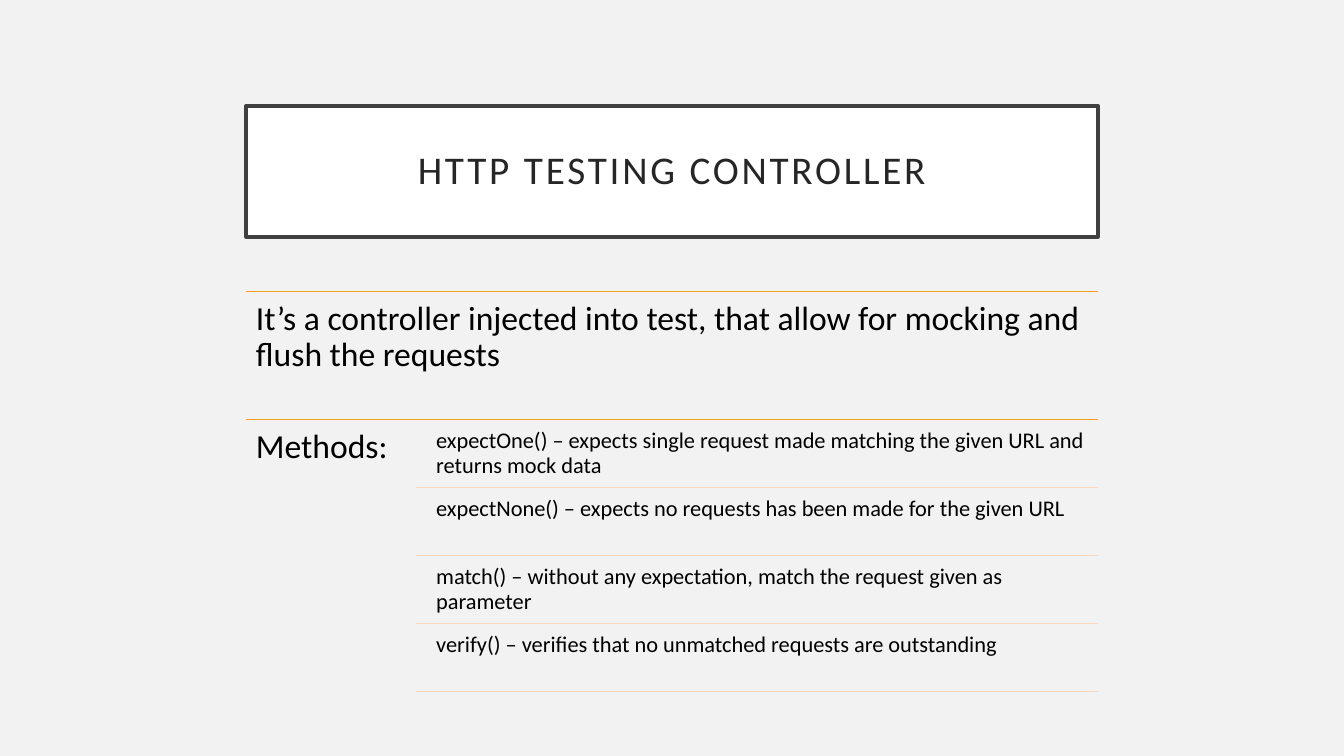
from lxml import etree
from pptx import Presentation
from pptx.dml.color import RGBColor
from pptx.enum.shapes import MSO_CONNECTOR
from pptx.enum.text import MSO_ANCHOR, MSO_AUTO_SIZE, PP_ALIGN
from pptx.oxml.ns import qn
from pptx.util import Inches, Pt

STRAIGHT = MSO_CONNECTOR.STRAIGHT
TOP, MIDDLE = MSO_ANCHOR.TOP, MSO_ANCHOR.MIDDLE
LEFT, CENTER = PP_ALIGN.LEFT, PP_ALIGN.CENTER
NO_FIT = MSO_AUTO_SIZE.NONE

FONT = "Calibri"
SLIDE_W, SLIDE_H = 13.33, 7.5
MARGIN = 2.44
CONTENT_W = SLIDE_W - 2 * MARGIN
ORANGE, PEACH = "F6A21D", "FBD7BD"

INTRO = ("It’s a controller injected into test, that allow for mocking and "
         "flush the requests")
METHODS = [
    "expectOne() – expects single request made matching the given URL and "
    "returns mock data",
    "expectNone() – expects no requests has been made for the given URL",
    "match() – without any expectation, match the request given as parameter",
    "verify() – verifies that no unmatched requests are outstanding",
]


def rgb(value):
    return RGBColor.from_string(value)


def write(tf, text, size, color="000000", inset=0.1, align=LEFT, anchor=TOP):
    tf.word_wrap = True
    tf.auto_size = NO_FIT
    tf.vertical_anchor = anchor
    tf.margin_left = tf.margin_right = Inches(inset)
    tf.margin_top = tf.margin_bottom = Inches(inset)
    tf.text = text
    p = tf.paragraphs[0]
    p.alignment = align
    p.line_spacing = 0.9
    font = p.runs[0].font
    font.name, font.size = FONT, Pt(size)
    font.color.rgb = rgb(color)


def add_text(s, x, y, w, h, text, size, inset=0.1):
    box = s.shapes.add_textbox(Inches(x), Inches(y), Inches(w), Inches(h))
    write(box.text_frame, text, size, inset=inset)


def add_rule(s, x, y, w, color):
    line = s.shapes.add_connector(STRAIGHT, Inches(x), Inches(y),
                                  Inches(x + w), Inches(y))
    line.line.color.rgb = rgb(color)
    line.line.width = Pt(1)
    etree.SubElement(line._element.spPr, qn("a:effectLst"))


def add_title(s, x, y, w, h):
    title = s.shapes.title
    title.left, title.top = Inches(x), Inches(y)
    title.width, title.height = Inches(w), Inches(h)
    title.fill.solid()
    title.fill.fore_color.rgb = rgb("FFFFFF")
    title.line.color.rgb = rgb("404040")
    title.line.width = Pt(2.5)
    tf = title.text_frame
    write(tf, "HTTP TESTING CONTROLLER", 28, "262626", 0.2, CENTER, MIDDLE)
    tf.paragraphs[0].runs[0]._r.get_or_add_rPr().set("spc", "200")


def add_intro(s, x, y, w, h):
    add_rule(s, x, y, w, ORANGE)
    add_text(s, x, y, w, h, INTRO, 24)


def add_methods(s, x, y, w, h):
    """Heading in the left fifth, one underlined row per method beside it."""
    add_rule(s, x, y, w, ORANGE)
    label_w = w * 0.2
    add_text(s, x, y, label_w, h, "Methods:", 24)
    indent = w * 0.215
    row_h = h / (len(METHODS) + 0.25)
    gap = row_h / 20
    for i, method in enumerate(METHODS):
        row_y = y + gap + i * (row_h + gap)
        add_text(s, x + indent, row_y, w - indent, row_h, method, 16, 0.07)
        add_rule(s, x + label_w, row_y + row_h, w - label_w, PEACH)


def main():
    prs = Presentation()
    prs.slide_width, prs.slide_height = Inches(SLIDE_W), Inches(SLIDE_H)
    s = prs.slides.add_slide(prs.slide_layouts[5])
    s.background.fill.solid()
    s.background.fill.fore_color.rgb = rgb("F2F2F2")
    add_title(s, MARGIN, SLIDE_H * 0.14, CONTENT_W, 1.3)
    add_intro(s, MARGIN, 2.89, CONTENT_W, 1.28)
    add_methods(s, MARGIN, 4.16, CONTENT_W, 2.73)
    prs.save("out.pptx")


if __name__ == "__main__":
    main()
